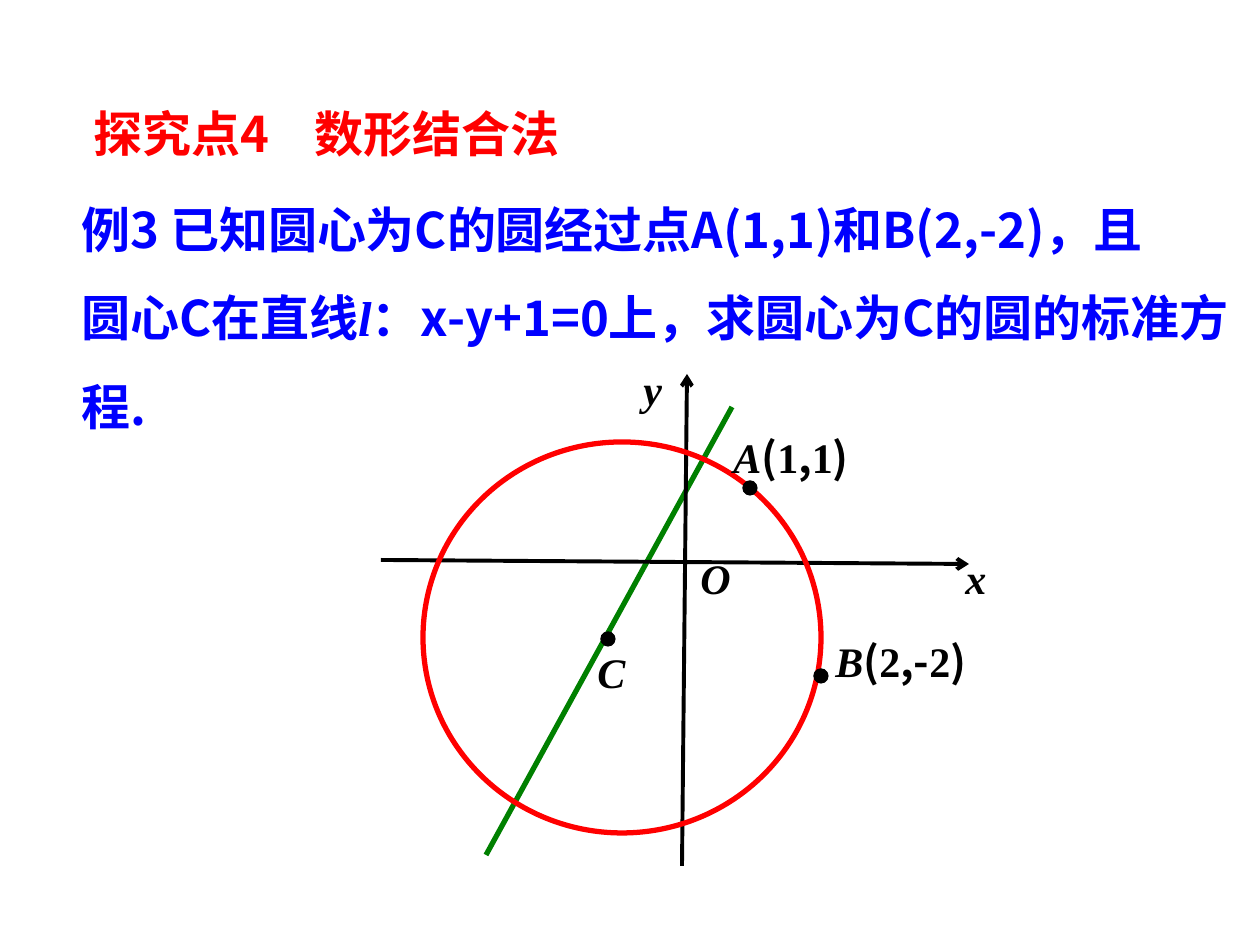
from dataclasses import dataclass

from lxml.etree import SubElement
from pptx import Presentation
from pptx.dml.color import RGBColor as RGB
from pptx.enum.shapes import MSO_CONNECTOR as CONN, MSO_SHAPE as SHAPE
from pptx.oxml.ns import qn
from pptx.util import Pt


@dataclass(frozen=True)
class Theme:
    red: RGB = RGB(0xFF, 0, 0)
    blue: RGB = RGB(0, 0, 0xFF)
    green: RGB = RGB(0, 0x80, 0)
    black: RGB = RGB(0, 0, 0)
    heading: str = "Karla"
    cjk: str = "Noto Sans CJK SC"
    serif: str = "Times New Roman"
    body_size: int = 28
    label_size: int = 24
    axis_width: float = 2.25
    curve_width: float = 3
    dot_width: float = 0.75


T = Theme()
DOT = 14
MATH = (T.serif, True)
DIGIT = (T.serif, False)
PLAIN = (T.cjk, False)
HEAD = (T.heading, False)


def px(n):
    return round(n * 914400 / 126)


def add_text(slide, box, paragraphs, size, color, spacing=None):
    """Each paragraph is a list of (text, (font, italic)) pairs."""
    tf = slide.shapes.add_textbox(*map(px, box)).text_frame
    tf.word_wrap = True
    for i, runs in enumerate(paragraphs):
        p = tf.add_paragraph() if i else tf.paragraphs[0]
        if spacing:
            p.line_spacing = spacing
        for text, (name, italic) in runs:
            r = p.add_run()
            r.text = text
            f = r.font
            f.name, f.size, f.bold, f.italic = name, Pt(size), True, italic
            f.color.rgb = color
            SubElement(r.font._element, qn("a:ea"), typeface=T.cjk)
    return tf


def add_tab_stop(p, position):
    tabs = SubElement(p._p.get_or_add_pPr(), qn("a:tabLst"))
    SubElement(tabs, qn("a:tab"), pos=str(px(position)), algn="l")


def add_label(slide, box, *runs):
    add_text(slide, box, [runs], T.label_size, T.black)


def add_line(slide, start, end, color, width, arrow=False):
    s = slide.shapes.add_connector(CONN.STRAIGHT, *map(px, start + end))
    s.line.color.rgb = color
    s.line.width = Pt(width)
    if arrow:
        SubElement(s.line._get_or_add_ln(), qn("a:tailEnd"), type="arrow")
    SubElement(s._element.spPr, qn("a:effectLst"))


def add_ellipse(slide, box, color, width, filled=False):
    sp = slide.shapes.add_shape(SHAPE.OVAL, *map(px, box))
    sp.shadow.inherit = False
    if filled:
        sp.fill.solid()
        sp.fill.fore_color.rgb = color
    else:
        sp.fill.background()
    sp.line.color.rgb = color
    sp.line.width = Pt(width)


def add_dot(slide, x, y):
    box = (x - DOT // 2, y - DOT // 2, DOT, DOT)
    add_ellipse(slide, box, T.black, T.dot_width, filled=True)


def add_problem(slide):
    add_text(slide, (69, 164, 1191, 277), [
        [("例3 已知圆心为C的圆经过点A(1,1)和B(2,-2)，且", PLAIN)],
        [("圆心C在直线", PLAIN), ("l", MATH),
         ("：x-y+1=0上，求圆心为C的圆的标准方程.", PLAIN)],
    ], T.body_size, T.blue, spacing=1.5)


def add_diagram(slide):
    add_label(slide, (953, 546, 53, 63), ("x", MATH))
    add_label(slide, (631, 357, 44, 63), ("y", MATH))
    add_label(slide, (688, 546, 68, 63), ("O", MATH))
    add_line(slide, (732, 407), (486, 855), T.green, T.curve_width)
    add_label(slide, (585, 640, 53, 63), ("C", MATH))
    add_dot(slide, 608, 639)
    add_line(slide, (381, 560), (969, 564), T.black, T.axis_width, arrow=True)
    add_line(slide, (682, 866), (687, 374), T.black, T.axis_width, arrow=True)
    add_ellipse(slide, (423, 442, 398, 391), T.red, T.curve_width)
    add_label(slide, (721, 425, 171, 63), ("A", MATH), ("(", PLAIN),
              ("1", DIGIT), (",", PLAIN), ("1", DIGIT), (")", PLAIN))
    add_label(slide, (823, 629, 180, 113), ("B", MATH), ("(", PLAIN),
              ("2", DIGIT), (",-", PLAIN), ("2", DIGIT), (")", PLAIN))
    add_dot(slide, 750, 488)
    add_dot(slide, 821, 676)


def add_heading(slide):
    tf = add_text(slide, (81, 97, 800, 72), [
        [("探究点", HEAD), ("4\t", PLAIN), ("数形结合法", HEAD)],
    ], T.body_size, T.red)
    add_tab_stop(tf.paragraphs[0], 221)


def main():
    prs = Presentation()
    prs.slide_width, prs.slide_height = px(1260), px(945)
    slide = prs.slides.add_slide(prs.slide_layouts[6])
    add_problem(slide)
    add_diagram(slide)
    add_heading(slide)
    prs.save("out.pptx")


if __name__ == "__main__":
    main()
